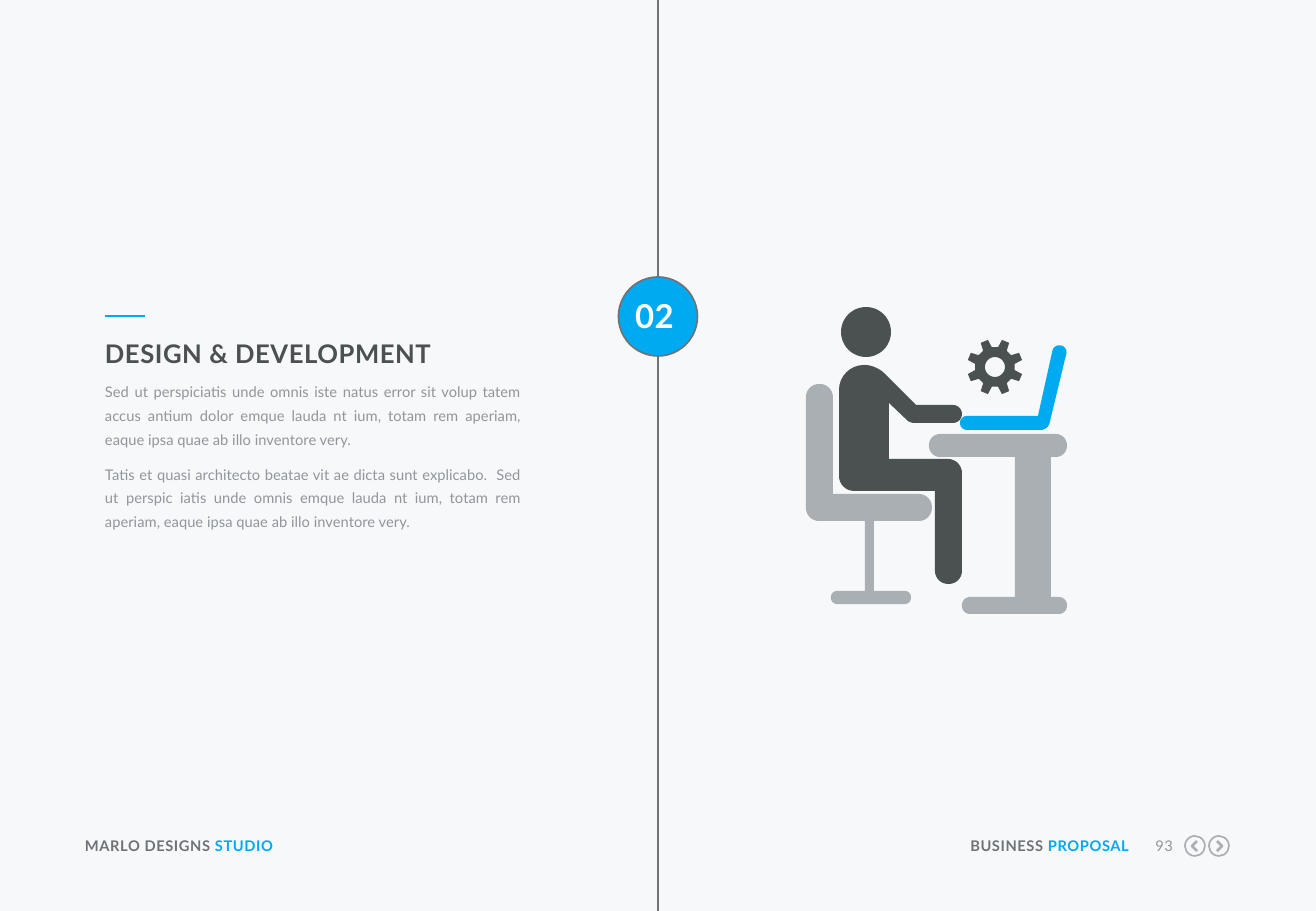
from dataclasses import dataclass
from math import cos, hypot, radians, sin

from lxml import etree
from pptx import Presentation
from pptx.dml.color import RGBColor
from pptx.enum.shapes import MSO_CONNECTOR, MSO_SHAPE
from pptx.enum.text import PP_ALIGN
from pptx.oxml.ns import qn
from pptx.util import Pt

PX = 7526  # EMU per px
SLIDE_W, SLIDE_H = 1316, 911
OVAL = MSO_SHAPE.OVAL
STRAIGHT = MSO_CONNECTOR.STRAIGHT
LEFT, CENTER, RIGHT, JUSTIFY = PP_ALIGN.LEFT, PP_ALIGN.CENTER, PP_ALIGN.RIGHT, PP_ALIGN.JUSTIFY


@dataclass(frozen=True)
class Theme:
    font: str = "Lato"
    background: str = "F6F8FA"
    accent: str = "00AAF0"
    dark: str = "4B5050"
    slate: str = "6E7378"
    body: str = "91969B"
    pale: str = "AAAFB4"
    white: str = "FFFFFF"
    small_size: float = 8.7
    title_size: float = 15.2
    number_size: float = 19.5
    body_leading: float = 14.1
    title_leading: float = 18.4
    para_gap: float = 6.5


T = Theme()

# Outline points are x, y and, for a rounded corner, the length it cuts off.
DESK = [(123, 127, 11), (261, 127, 11), (261, 150, 11), (245, 150), (245, 290), (261, 290, 8),
        (261, 307, 8), (156, 307, 8), (156, 290, 8), (209, 290), (209, 150), (123, 150, 11)]
LAPTOP = [(154, 109, 7), (232, 109), (248, 37, 7), (262, 40, 7), (242, 123, 7), (154, 123, 7)]
PERSON = [(33, 58, 25), (70, 58, 11), (110, 98), (156, 98, 9), (156, 116, 9), (104, 116, 4),
          (83, 96), (83, 152), (156, 152, 14), (156, 277, 13), (129, 277, 13), (129, 184),
          (33, 184, 15)]
CHAIR = [(0, 77, 13), (27, 77, 13), (27, 187), (126, 187, 13), (126, 214, 13), (68, 214),
         (68, 284), (105, 284, 6), (105, 297, 6), (25, 297, 6), (25, 284, 6), (59, 284),
         (59, 214), (0, 214, 13)]


def emu(*lengths):
    return [round(n * PX) for n in lengths]


def rgb(color):
    return RGBColor.from_string(color)


def style(shape, fill=None, line=None, width=1):
    shape.shadow.inherit = False
    if fill:
        shape.fill.solid()
        shape.fill.fore_color.rgb = rgb(fill)
    else:
        shape.fill.background()
    if line:
        shape.line.color.rgb = rgb(line)
        shape.line.width = Pt(width)
    else:
        shape.line.fill.background()


def add_oval(shapes, x, y, size, **look):
    style(shapes.add_shape(OVAL, *emu(x, y, size, size)), **look)


def add_rule(s, x1, y1, x2, y2, color, width):
    rule = s.shapes.add_connector(STRAIGHT, *emu(x1, y1, x2, y2))
    rule.line.color.rgb = rgb(color)
    rule.line.width = Pt(width)
    etree.SubElement(rule._element.spPr, qn("a:effectLst"))


def add_text(s, x, y, w, h, paragraphs, size, align=LEFT, bold=False, spacing=0, leading=None):
    """Place paragraphs, each a list of (text, color) runs."""
    tf = s.shapes.add_textbox(*emu(x, y, w, h)).text_frame
    tf.word_wrap = True
    tf.margin_left = tf.margin_top = tf.margin_right = tf.margin_bottom = 0
    for i, runs in enumerate(paragraphs):
        p = tf.add_paragraph() if i else tf.paragraphs[0]
        p.alignment = align
        if leading:
            p.line_spacing = Pt(leading)
            p.space_after = Pt(T.para_gap)
        for text, color in runs:
            r = p.add_run()
            r.text = text
            r.font.name = T.font
            r.font.size = Pt(size)
            r.font.bold = bold
            r.font.color.rgb = rgb(color)
            if spacing:
                r.font._element.set("spc", str(spacing))


def rounded(points, steps=8):
    """Replace each corner that has a cut length with points on a curve."""
    outline = []
    for i, (x, y, *cut) in enumerate(points):
        if not cut:
            outline.append((x, y))
            continue
        ends = []
        for nx, ny, *_ in (points[i - 1], points[(i + 1) % len(points)]):
            share = cut[0] / hypot(nx - x, ny - y)
            ends.append(((nx - x) * share, (ny - y) * share))
        (ax, ay), (bx, by) = ends
        for k in range(steps + 1):
            t = k / steps
            a = (1 - t) ** 3 + 1.35 * t * (1 - t) ** 2
            b = t ** 3 + 1.35 * t ** 2 * (1 - t)
            outline.append((x + a * ax + b * bx, y + a * ay + b * by))
    return outline


def polar(cx, cy, radius, degrees):
    return cx + radius * cos(radians(degrees)), cy + radius * sin(radians(degrees))


def gear(cx, cy, teeth=8):
    tooth = [(20, -13.5), (28, -8), (28, 8), (20, 13.5)]
    pitch = 360 / teeth
    rim = [polar(cx, cy, radius, (i + 0.5) * pitch + turn)
           for i in range(teeth) for radius, turn in tooth]
    hole = [polar(cx, cy, 10, -10 * i) for i in range(36)]
    return rim, hole


def add_outline(shapes, x, y, *contours, close=True, **look):
    placed = [[emu(x + px, y + py) for px, py in contour] for contour in contours]
    builder = shapes.build_freeform(*placed[0][0], scale=1.0)
    builder.add_line_segments(placed[0][1:], close=close)
    for contour in placed[1:]:
        builder.move_to(*contour[0])
        builder.add_line_segments(contour[1:], close=close)
    style(builder.convert_to_shape(), **look)


def draw_spine(s, x, badge_top, badge_size, number):
    badge_end = badge_top + badge_size
    left = x - badge_size / 2
    add_oval(s.shapes, left, badge_top, badge_size, fill=T.accent, line=T.slate)
    for y1, y2 in ((0, badge_top), (badge_end, SLIDE_H)):
        add_rule(s, x, y1, x, y2, T.slate, 1)
    add_text(s, left + 12, badge_top + 19, 48, 40, [[(number, T.white)]],
             T.number_size, CENTER, bold=True, spacing=20)


def draw_article(s, x, y, w, title, paragraphs):
    add_rule(s, x, y, x + 40, y, T.accent, 1.5)
    add_text(s, x, y + 22, w, 30, [[(title, T.dark)]], T.title_size,
             bold=True, spacing=30, leading=T.title_leading)
    add_text(s, x, y + 61, w, 156, [[(text, T.body)] for text in paragraphs],
             T.small_size, JUSTIFY, leading=T.body_leading)


def draw_desk_scene(s, x, y):
    shapes = s.shapes.add_group_shape().shapes
    for outline, color in ((DESK, T.pale), (LAPTOP, T.accent), (PERSON, T.dark), (CHAIR, T.pale)):
        add_outline(shapes, x, y, rounded(outline), fill=color)
    add_oval(shapes, x + 35, y, 50, fill=T.dark)
    add_outline(shapes, x, y, *gear(189, 60), fill=T.dark)


def draw_arrow_button(s, x, y, size, forward):
    add_oval(s.shapes, x + 1, y + 1, size - 2, line=T.pale)
    chevron = [(13, 6), (8, 11), (13, 16)]
    if forward:
        chevron = [(size - px, py) for px, py in chevron]
    add_outline(s.shapes, x, y, chevron, close=False, line=T.pale, width=1.5)


def draw_footer(s, x, y, w):
    labels = [
        (x, 256, LEFT, True, [("MARLO DESIGNS ", T.slate), ("STUDIO", T.accent)]),
        (x + w - 269, 167, RIGHT, True, [("BUSINESS ", T.slate), ("PROPOSAL", T.accent)]),
        (x + w - 88, 30, RIGHT, False, [("93", T.body)]),
    ]
    for left, width, align, bold, runs in labels:
        add_text(s, left, y, width, 18, [runs], T.small_size, align, bold, spacing=30)
    for i, forward in enumerate((False, True)):
        draw_arrow_button(s, x + w - 47 + 24 * i, y - 2, 22, forward)


def main():
    prs = Presentation()
    prs.slide_width, prs.slide_height = emu(SLIDE_W, SLIDE_H)
    s = prs.slides.add_slide(prs.slide_layouts[6])
    s.background.fill.solid()
    s.background.fill.fore_color.rgb = rgb(T.background)
    draw_footer(s, 85, 837, 1146)
    draw_spine(s, SLIDE_W / 2, 277, 79, "02")
    draw_desk_scene(s, 806, 307)
    draw_article(s, 105, 316, 416, "DESIGN & DEVELOPMENT", [
        "Sed ut perspiciatis unde omnis iste natus error sit volup tatem accus antium dolor "
        "emque lauda nt ium, totam rem aperiam, eaque ipsa quae ab illo inventore very.",
        "Tatis et quasi architecto beatae vit ae dicta sunt explicabo.  Sed ut perspic iatis "
        "unde omnis emque lauda nt ium, totam rem aperiam, eaque ipsa quae ab illo "
        "inventore very.",
    ])
    prs.save("out.pptx")


if __name__ == "__main__":
    main()
